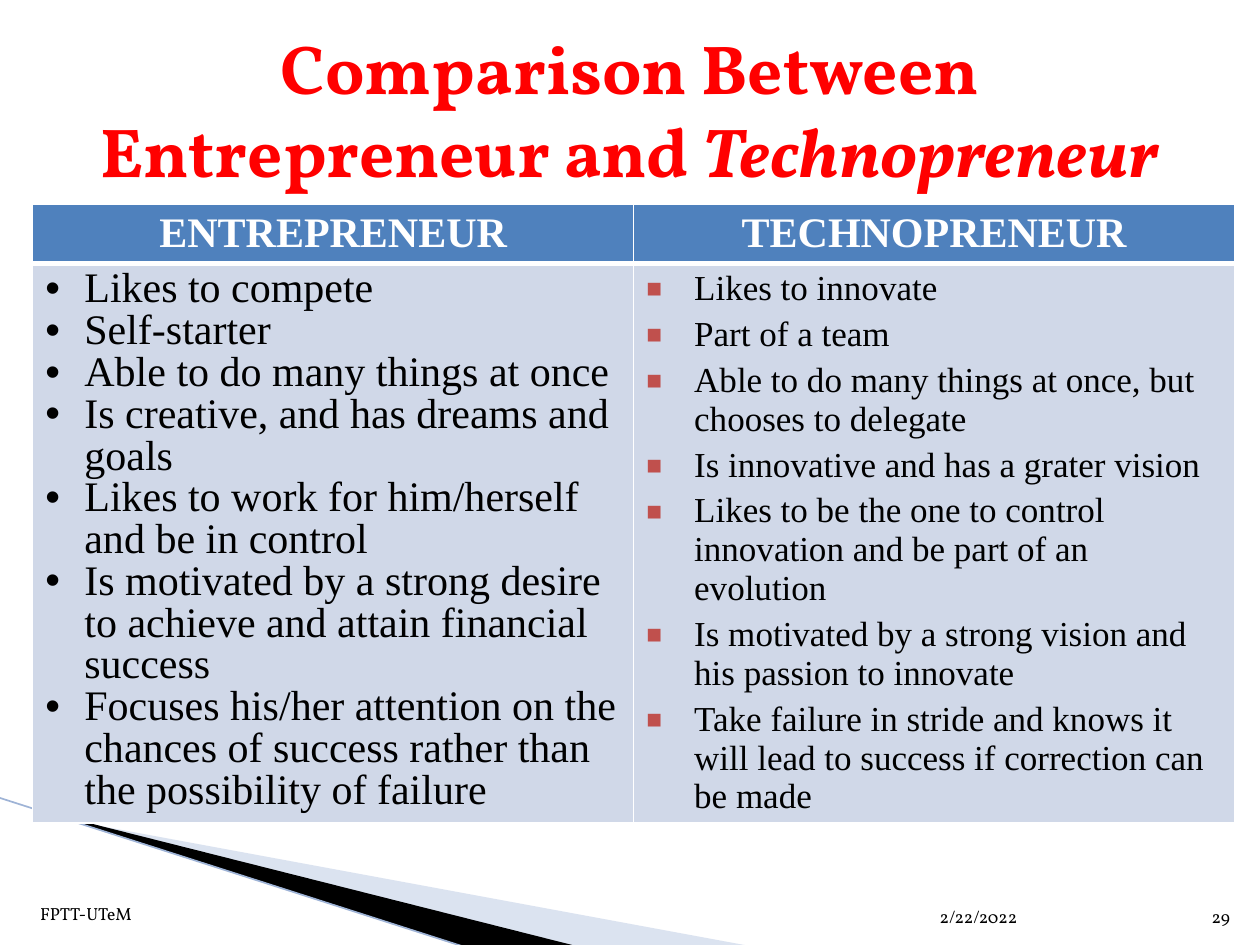
from lxml import etree
from pptx import Presentation
from pptx import util as u
from pptx.dml.color import RGBColor
from pptx.enum import shapes, text
from pptx.oxml import ns

INK = {"red": "FF0000", "black": "000000", "white": "FFFFFF", "head": "4F81BD",
       "body": "D0D8E8", "mark": "C0504D", "wing": "A7B9DB", "edge": "9EB3D6"}
ROMAN, SERIF = "Times New Roman", "Vollkorn"
MID, RIGHT = text.PP_ALIGN.CENTER, text.PP_ALIGN.RIGHT
LOW, HALF = text.MSO_ANCHOR.BOTTOM, text.MSO_ANCHOR.MIDDLE

TITLE = {"name": SERIF, "size": u.Pt(39.6), "bold": True, "ink": "red"}
SMALL = {"name": SERIF, "size": u.Pt(10), "ink": "black"}
HEAD = {"name": ROMAN, "size": u.Pt(24), "bold": True, "ink": "white"}
LEFT_FONT = {"name": ROMAN, "size": u.Pt(24), "bold": False, "ink": "black"}
RIGHT_FONT = {**LEFT_FONT, "size": u.Pt(20)}

TRAITS = [
    "Likes to compete",
    "Self-starter",
    "Able to do many things at once",
    "Is creative, and has dreams and goals",
    "Likes to work for him/herself and be in control",
    "Is motivated by a strong desire to achieve and attain financial success",
    "Focuses his/her attention on the chances of success rather than "
    "the possibility of failure",
]
TECH = [
    "Likes to innovate",
    "Part of a team",
    "Able to do many things at once, but chooses to delegate",
    "Is innovative and has a grater vision",
    "Likes to be the one to control innovation and be part of an evolution",
    "Is motivated by a strong vision and his passion to innovate",
    "Take failure in stride and knows it will lead to success "
    "if correction can be made",
]
SIDES = [
    ("ENTREPRENEUR", TRAITS, LEFT_FONT,
     {"char": "•", "dent": 0.31}, {"line_spacing": 0.9}),
    ("TECHNOPRENEUR", TECH, RIGHT_FONT,
     {"char": "■", "dent": 0.38, "ink": "mark", "size": 75}, {"space_before": u.Pt(4)}),
]


def color(key):
    return RGBColor.from_string(INK[key])


def node(parent, tag, **attrs):
    return etree.SubElement(parent, ns.qn(tag), attrs)


class Deck:
    """Places elements by percent of the slide's width and height."""

    def __init__(self, wide, high):
        self.prs = Presentation()
        self.prs.slide_width, self.prs.slide_height = u.Inches(wide), u.Inches(high)
        self.slide = self.prs.slides.add_slide(self.prs.slide_layouts[6])
        self.shapes = self.slide.shapes

    def x(self, share):
        return round(self.prs.slide_width * share / 100)

    def y(self, share):
        return round(self.prs.slide_height * share / 100)

    def area(self, left, top, wide, high):
        return self.x(left), self.y(top), self.x(wide), self.y(high)

    def run(self, para, words, style):
        run = para.add_run()
        run.text = words
        for key, value in style.items():
            if key == "ink":
                run.font.color.rgb = color(value)
            else:
                setattr(run.font, key, value)

    def label(self, area, runs, anchor, align=None):
        frame = self.shapes.add_textbox(*self.area(*area)).text_frame
        frame.word_wrap = True
        frame.vertical_anchor = anchor
        para = frame.paragraphs[0]
        para.alignment = align
        for words, style in runs:
            self.run(para, words, style)

    def wedge(self, points, ink, alpha=None):
        spots = [(self.x(a), self.y(b)) for a, b in points]
        pen = self.shapes.build_freeform(*spots[0])
        pen.add_line_segments(spots[1:], close=True)
        shape = pen.convert_to_shape()
        shape.shadow.inherit = False
        shape.fill.solid()
        shape.fill.fore_color.rgb = color(ink)
        shape.line.fill.background()
        if alpha:
            tint = shape.fill._xPr.find(".//" + ns.qn("a:srgbClr"))
            node(tint, "a:alpha", val=str(alpha * 1000))

    def line(self, start, end, ink, width):
        (a, b), (c, d) = start, end
        line = self.shapes.add_connector(shapes.MSO_CONNECTOR.STRAIGHT,
                                         self.x(a), self.y(b), self.x(c), self.y(d))
        line.line.color.rgb = color(ink)
        line.line.width = u.Pt(width)
        node(line._element.spPr, "a:effectLst")

    def bullet(self, para, char, dent, ink=None, size=None):
        props = para._p.get_or_add_pPr()
        props.set("marL", str(u.Inches(dent)))
        props.set("indent", str(-u.Inches(dent)))
        if ink:
            node(node(props, "a:buClr"), "a:srgbClr", val=INK[ink])
        if size:
            node(props, "a:buSzPct", val=str(size * 1000))
        node(props, "a:buFont", typeface="Arial")
        node(props, "a:buChar", char=char)

    def cell(self, cell, ink, **edges):
        """Border and fill a cell; edges are widths in points, 1 unless given."""
        props = cell._tc.get_or_add_tcPr()
        for side in "LRTB":
            edge = node(props, "a:ln" + side, w=str(u.Pt(edges.get(side, 1))))
            node(node(edge, "a:solidFill"), "a:srgbClr", val=INK["white"])
        cell.fill.solid()
        cell.fill.fore_color.rgb = color(ink)

    def table(self, area, head, sides):
        table = self.shapes.add_table(2, len(sides), *self.area(*area)).table
        table.rows[0].height = self.y(head)
        table.rows[1].height = self.y(area[3] - head)
        for col, (name, items, style, mark, gaps) in enumerate(sides):
            top, body = table.cell(0, col), table.cell(1, col)
            self.cell(top, "head", B=3)
            self.cell(body, "body", T=3)
            para = top.text_frame.paragraphs[0]
            para.alignment = MID
            self.run(para, name, HEAD)
            frame = body.text_frame
            for i, words in enumerate(items):
                para = frame.add_paragraph() if i else frame.paragraphs[0]
                self.bullet(para, **mark)
                for key, value in gaps.items():
                    if i or key != "space_before":
                        setattr(para, key, value)
                self.run(para, words, style)


def main():
    deck = Deck(10, 7.5)
    deck.wedge([(5.5, 86.8), (59.5, 100.1), (45.6, 100.1), (5.5, 86.7)], "wing", 40)
    deck.wedge([(5.3, 86.5), (45.7, 100.1), (37.2, 100.3), (5.4, 86.7)], "black")
    deck.line((-0.1, 84.4), (37.1, 100.3), "edge", 0.95)
    deck.table((2.6, 21.6, 95.4, 65.3), 6.1, SIDES)
    deck.label((73.6, 93.5, 21, 5.3), [("2/22/2022", SMALL)], LOW)
    deck.label((2.2, 93.3, 25.7, 5.1), [("FPTT-UTeM", SMALL)], LOW)
    deck.label((94.6, 93.5, 4, 5.3), [("29", SMALL)], LOW, RIGHT)
    deck.label((5, 4, 90, 15), [("Comparison Between Entrepreneur and ", TITLE),
                                ("Technopreneur", {**TITLE, "italic": True})], HALF, MID)
    deck.prs.save("out.pptx")


if __name__ == "__main__":
    main()
